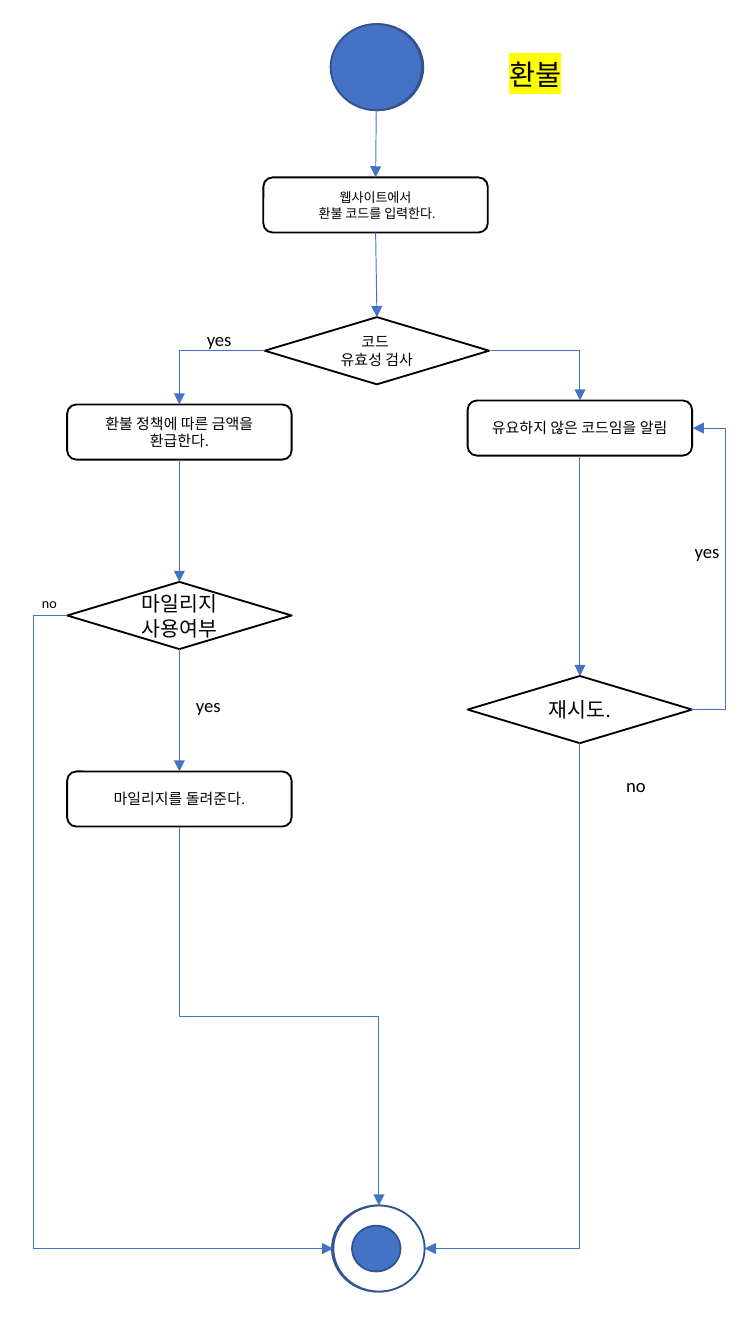
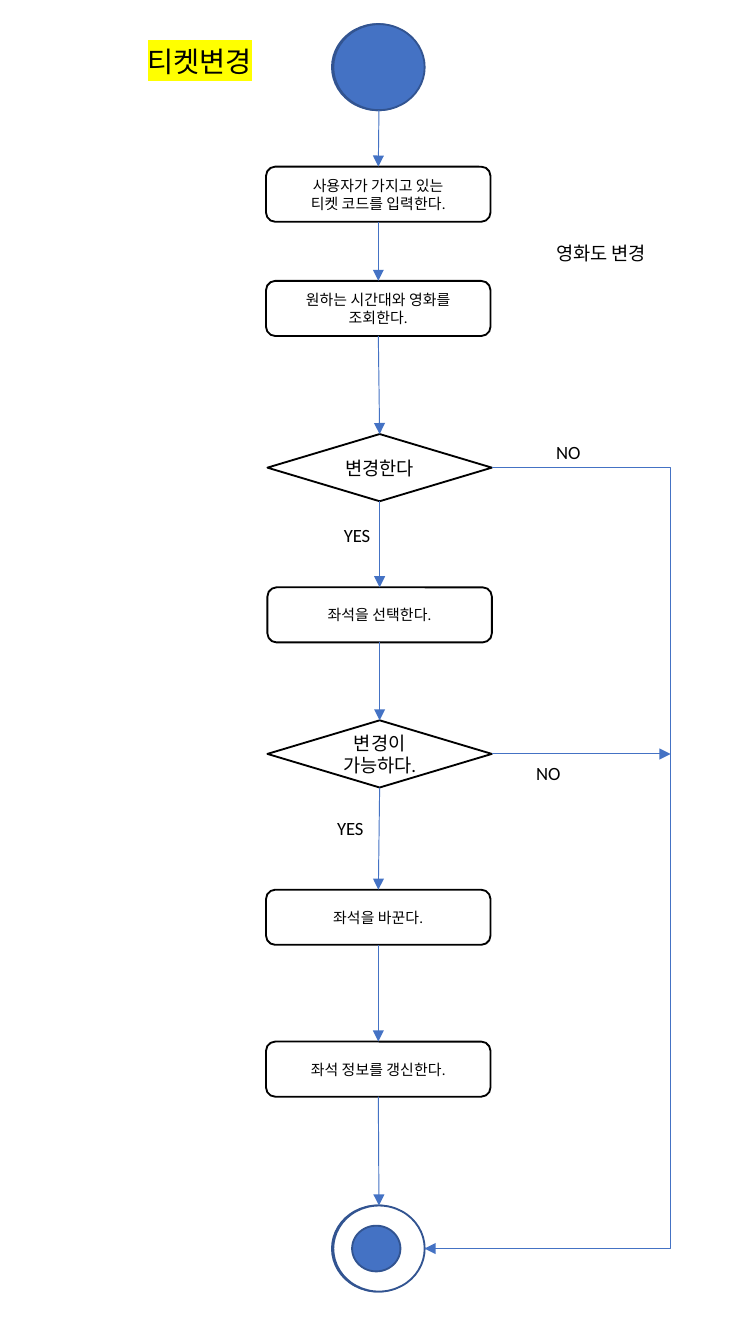
"""Builds two activity diagrams: refunding a ticket and changing a ticket."""
from lxml import etree
from pptx import Presentation
from pptx.dml.color import RGBColor
from pptx.enum.shapes import MSO_CONNECTOR, MSO_SHAPE
from pptx.enum.text import MSO_ANCHOR, MSO_AUTO_SIZE, PP_ALIGN
from pptx.oxml.ns import qn
from pptx.util import Inches, Pt

OVAL, STEP, DECISION = MSO_SHAPE.OVAL, MSO_SHAPE.ROUNDED_RECTANGLE, MSO_SHAPE.FLOWCHART_DECISION
STRAIGHT, ELBOW = MSO_CONNECTOR.STRAIGHT, MSO_CONNECTOR.ELBOW
CENTER, MIDDLE, GROW = PP_ALIGN.CENTER, MSO_ANCHOR.MIDDLE, MSO_AUTO_SIZE.SHAPE_TO_FIT_TEXT

PAGE_HEIGHT = 10
PAGE_WIDTH = PAGE_HEIGHT * 9 / 16
FONT = "Calibri"
BLUE, NAVY, BLACK, WHITE, YELLOW = "4472C4", "325491", "000000", "FFFFFF", "FFFF00"
SIZES = {STEP: (1.67, 0.41), DECISION: (1.67, 0.5)}
CIRCLE, CORE = (0.68, 0.64), (0.36, 0.34)
START_TOP, END_TOP = 0.18, 8.97
END_LEFT, CORE_AT, MASTER_LEFT = 2.48, (2.62, 9.12), 2.47
SIDES = {"top": (0.5, 0), "left": (0, 0.5), "bottom": (0.5, 1), "right": (1, 0.5)}

DIAGRAMS = [
    {
        "title": ("환불", 3.69, 0.38, 0.63),
        "start_left": 2.46,
        "nodes": {
            "notice": (STEP, 3.48, 2.98, 8, ["유요하지 않은 코드임을 알림"]),
            "refund": (STEP, 0.5, 3.01, 8, ["환불 정책에 따른 금액을 환급한다."]),
            "restore": (STEP, 0.5, 5.74, 8, ["마일리지를 돌려준다."]),
            "enter": (STEP, 1.96, 1.32, 7, ["웹사이트에서", " 환불 코드를 입력한다."]),
            "valid": (DECISION, 1.97, 2.36, 8, ["코드 ", "유효성 검사"]),
            "retry": (DECISION, 3.48, 5.03, 11, ["재시도."]),
            "mileage": (DECISION, 0.5, 4.33, 11, ["마일리지 사용여부"]),
        },
        "links": [
            ("start", "bottom", "enter", "top", None),
            ("enter", "bottom", "valid", "top", None),
            ("valid", "left", "refund", "top", None),
            ("valid", "right", "notice", "top", None),
            ("refund", "bottom", "mileage", "top", None),
            ("mileage", "bottom", "restore", "top", None),
            ("mileage", "left", "end", "left", 0.25),
            ("restore", "bottom", "end", "top", 7.56),
            ("notice", "bottom", "retry", "top", None),
            ("retry", "right", "notice", "right", 5.41),
            ("retry", "bottom", "end", "right", None),
        ],
        "labels": [
            ("yes", 1.44, 2.39, 0.39, 10),
            ("no", 4.56, 5.71, 0.35, 10),
            (" no", 0.19, 4.37, 0.36, 7.6),
            ("yes", 5.07, 3.97, 0.39, 10),
            ("yes", 1.36, 5.11, 0.39, 10),
        ],
    },
    {
        "title": ("티켓변경", 1, 0.28, 1.06),
        "start_left": 2.48,
        "nodes": {
            "enter": (STEP, 1.98, 1.24, 8, ["사용자가 가지고 있는", "티켓 코드를 입력한다."]),
            "search": (STEP, 1.98, 2.09, 8, ["원하는 시간대와 영화를 조회한다."]),
            "change": (DECISION, 1.99, 3.23, 10, ["변경한다"]),
            "choose": (STEP, 1.99, 4.37, 8, ["좌석을 선택한다."]),
            "possible": (DECISION, 1.99, 5.36, 10, ["변경이 가능하다."]),
            "swap": (STEP, 1.98, 6.62, 8, ["좌석을 바꾼다."]),
            "update": (STEP, 1.98, 7.75, 8, ["좌석 정보를 갱신한다."]),
        },
        "links": [
            ("start", "bottom", "enter", "top", None),
            ("enter", "bottom", "search", "top", None),
            ("search", "bottom", "change", "top", None),
            ("change", "bottom", "choose", "top", None),
            ("choose", "bottom", "possible", "top", None),
            ("possible", "bottom", "swap", "top", None),
            ("swap", "bottom", "update", "top", None),
            ("update", "bottom", "end", "top", None),
            ("change", "right", "end", "right", 4.99),
            ("possible", "right", None, None, 4.99),
        ],
        "labels": [
            ("영화도 변경", 4.04, 1.75, 0.93, 10),
            ("YES", 2.46, 3.85, 0.4, 10),
            ("NO", 4.04, 3.23, 0.39, 10),
            ("YES", 2.41, 6.03, 0.4, 10),
            ("NO", 3.89, 5.62, 0.39, 10),
        ],
    },
]


def color(hex_code):
    return RGBColor.from_string(hex_code)


def set_font(paragraph, size):
    paragraph.font.name, paragraph.font.size = FONT, Pt(size)
    paragraph.font.color.rgb = color(BLACK)


def add_node(slide, kind, left, top, size, fill, line):
    node = slide.shapes.add_shape(kind, *map(Inches, (left, top, *size)))
    node.shadow.inherit = False
    node.fill.solid()
    node.fill.fore_color.rgb = color(fill)
    node.line.color.rgb = color(line)
    node.line.width = Pt(1)
    return node


def add_text_node(slide, kind, left, top, size, lines):
    node = add_node(slide, kind, left, top, SIZES[kind], WHITE, BLACK)
    frame = node.text_frame
    frame.word_wrap, frame.vertical_anchor = True, MIDDLE
    frame.text = "\n".join(lines)
    for paragraph in frame.paragraphs:
        paragraph.alignment = CENTER
        set_font(paragraph, size)
    return node


def add_label(slide, text, left, top, width, size, highlight=None):
    height = 0.36 if highlight else 0.27
    frame = slide.shapes.add_textbox(*map(Inches, (left, top, width, height))).text_frame
    frame.word_wrap, frame.auto_size = False, GROW
    frame.text = text
    set_font(frame.paragraphs[0], size)
    if highlight:
        properties = frame.paragraphs[0].runs[0].font._element
        mark = etree.SubElement(properties, qn("a:highlight"))
        etree.SubElement(mark, qn("a:srgbClr")).set("val", highlight)


def side_point(node, side):
    across, down = SIDES[side]
    return (node.left + node.width * across) / Inches(1), (node.top + node.height * down) / Inches(1)


def site(node, side):
    return list(SIDES).index(side) * (2 if node.auto_shape_type == OVAL else 1)


def add_link(slide, nodes, source, source_side, target, target_side, lane):
    x1, y1 = side_point(nodes[source], source_side)
    x2, y2 = side_point(nodes[target], target_side) if target else (lane, y1)
    upright = source_side in ("top", "bottom")
    turned = target and upright != (target_side in ("top", "bottom"))
    bent = turned or (target and lane is not None)
    link = slide.shapes.add_connector(ELBOW if bent else STRAIGHT, *map(Inches, (x1, y1, x2, y2)))
    link.begin_connect(nodes[source], 0)
    link.element.xpath(".//a:stCxn")[0].set("idx", str(site(nodes[source], source_side)))
    if target:
        link.end_connect(nodes[target], 0)
        link.element.xpath(".//a:endCxn")[0].set("idx", str(site(nodes[target], target_side)))

    rotated = bent and upright
    along, across = (y2 - y1, x1 - x2) if rotated else (x2 - x1, y2 - y1)
    if bent:
        along = along or 0.01
    link.width, link.height = Inches(abs(along)), Inches(abs(across))
    link.left = Inches((x1 + x2 - abs(along)) / 2)
    link.top = Inches((y1 + y2 - abs(across)) / 2)
    properties = link.element.spPr
    frame = properties.find(qn("a:xfrm"))
    frame.set("rot", "5400000" if rotated else "0")
    frame.set("flipH", str(int(along < 0)))
    frame.set("flipV", str(int(across < 0)))
    geometry = properties.find(qn("a:prstGeom"))
    if turned:
        geometry.set("prst", "bentConnector2")
    elif bent:
        bend = (lane - (y1 if upright else x1)) / along
        guide = etree.SubElement(geometry.find(qn("a:avLst")), qn("a:gd"))
        guide.set("name", "adj1")
        guide.set("fmla", f"val {round(bend * 100000)}")

    link.line.color.rgb = color(BLUE)
    link.line.width = Pt(0.5)
    etree.SubElement(properties.find(qn("a:ln")), qn("a:tailEnd")).set("type", "triangle")
    etree.SubElement(properties, qn("a:effectLst"))


def add_terminals(slide, start_left, end_left):
    return {
        "start": add_node(slide, OVAL, start_left, START_TOP, CIRCLE, BLUE, NAVY),
        "end": add_node(slide, OVAL, end_left, END_TOP, CIRCLE, WHITE, NAVY),
    }


def add_diagram(slide, diagram):
    add_label(slide, *diagram["title"], 15.2, YELLOW)
    nodes = add_terminals(slide, diagram["start_left"], END_LEFT)
    add_node(slide, OVAL, *CORE_AT, CORE, BLUE, NAVY)
    for key, node in diagram["nodes"].items():
        nodes[key] = add_text_node(slide, *node)
    for link in diagram["links"]:
        add_link(slide, nodes, *link)
    for label in diagram["labels"]:
        add_label(slide, *label)


def main():
    deck = Presentation()
    deck.slide_width, deck.slide_height = Inches(PAGE_WIDTH), Inches(PAGE_HEIGHT)
    slides = [deck.slides.add_slide(deck.slide_layouts[6]) for _ in DIAGRAMS]
    for terminal in add_terminals(slides[0], MASTER_LEFT, MASTER_LEFT).values():
        deck.slide_master.shapes.element.append(terminal.element)
    for slide, diagram in zip(slides, DIAGRAMS):
        add_diagram(slide, diagram)
    deck.save("out.pptx")


if __name__ == "__main__":
    main()
